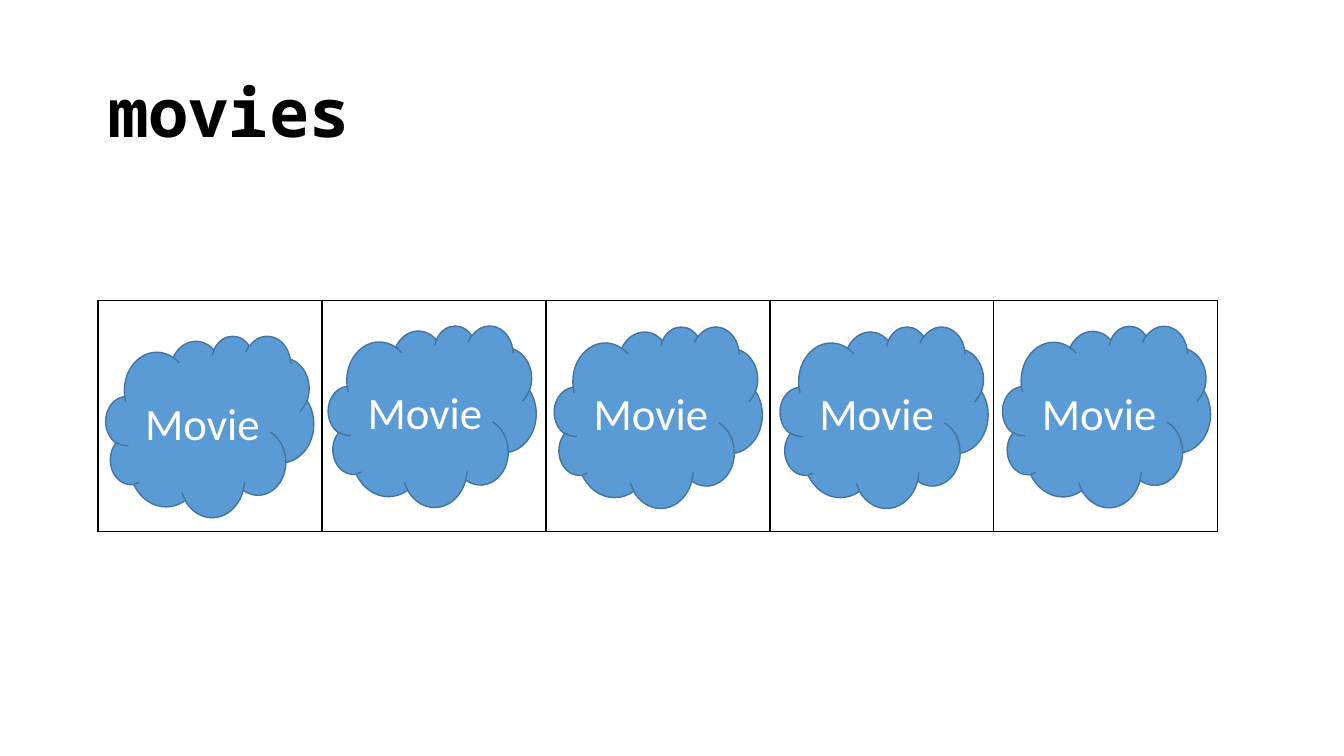
from dataclasses import dataclass

from lxml import etree
from pptx import Presentation
from pptx.dml.color import RGBColor
from pptx.enum.shapes import MSO_SHAPE
from pptx.enum.text import MSO_ANCHOR, PP_ALIGN
from pptx.oxml.ns import qn
from pptx.util import Pt

CLOUD = MSO_SHAPE.CLOUD
TOP, MIDDLE = MSO_ANCHOR.TOP, MSO_ANCHOR.MIDDLE
LEFT, CENTER = PP_ALIGN.LEFT, PP_ALIGN.CENTER


@dataclass(frozen=True)
class Theme:
    black: str = "000000"
    white: str = "FFFFFF"
    cloud: str = "5B9BD5"
    outline: str = "43739E"
    title_font: str = "Noto Sans Mono"
    body_font: str = "Calibri"
    title_size: int = 48
    label_size: int = 32
    line_width: int = 1


class Deck:
    """Draws styled elements, measured in points, on the current slide."""

    def __init__(self, prs, theme):
        self.theme = theme
        self.s = prs.slides.add_slide(prs.slide_layouts[5])

    def label(self, tf, text, color, align, anchor, **font):
        tf.word_wrap = True
        tf.vertical_anchor = anchor
        p = tf.paragraphs[0]
        p.alignment = align
        r = p.add_run()
        r.text = text
        for name, value in font.items():
            setattr(r.font, name, value)
        r.font.color.rgb = RGBColor.from_string(color)
        return p

    def title(self, text, left, top, width, height):
        t = self.theme
        sp = self.s.shapes.title
        box = {"left": left, "top": top, "width": width, "height": height}
        for name, value in box.items():
            setattr(sp, name, Pt(value))
        p = self.label(sp.text_frame, text, t.black, LEFT, TOP,
                       name=t.title_font, size=Pt(t.title_size), bold=True)
        p.line_spacing = 0.9

    def border(self, cell):
        tc_pr = cell._tc.get_or_add_tcPr()
        for side in ("a:lnL", "a:lnR", "a:lnT", "a:lnB"):
            ln = etree.SubElement(tc_pr, qn(side), w=str(Pt(self.theme.line_width)))
            fill = etree.SubElement(ln, qn("a:solidFill"))
            etree.SubElement(fill, qn("a:srgbClr"), val=self.theme.black)

    def array(self, count, left, top, width, height):
        frame = self.s.shapes.add_table(1, count, Pt(left), Pt(top), Pt(width), Pt(height))
        table = frame.table
        table.first_row = table.horz_banding = False
        for cell in table.iter_cells():
            self.border(cell)
            cell.fill.background()

    def cloud(self, text, left, top, width, height):
        t = self.theme
        sp = self.s.shapes.add_shape(CLOUD, Pt(left), Pt(top), Pt(width), Pt(height))
        sp.shadow.inherit = False
        sp.fill.solid()
        sp.fill.fore_color.rgb = RGBColor.from_string(t.cloud)
        sp.line.color.rgb = RGBColor.from_string(t.outline)
        sp.line.width = Pt(t.line_width)
        self.label(sp.text_frame, text, t.white, CENTER, MIDDLE,
                   name=t.body_font, size=Pt(t.label_size))


def main():
    prs = Presentation()
    prs.slide_width, prs.slide_height = Pt(960), Pt(540)
    deck = Deck(prs, Theme())
    deck.array(5, 70, 214.5, 800, 165)
    deck.title("movies", 70, 53.3, 828, 93)
    clouds = [(75.6, 239.8), (234.5, 232.5), (396, 233.2), (557.3, 233.2), (716.2, 232.7)]
    for left, top in clouds:
        deck.cloud("Movie", left, top, 148.5, 129.6)
    prs.save("out.pptx")


if __name__ == "__main__":
    main()
